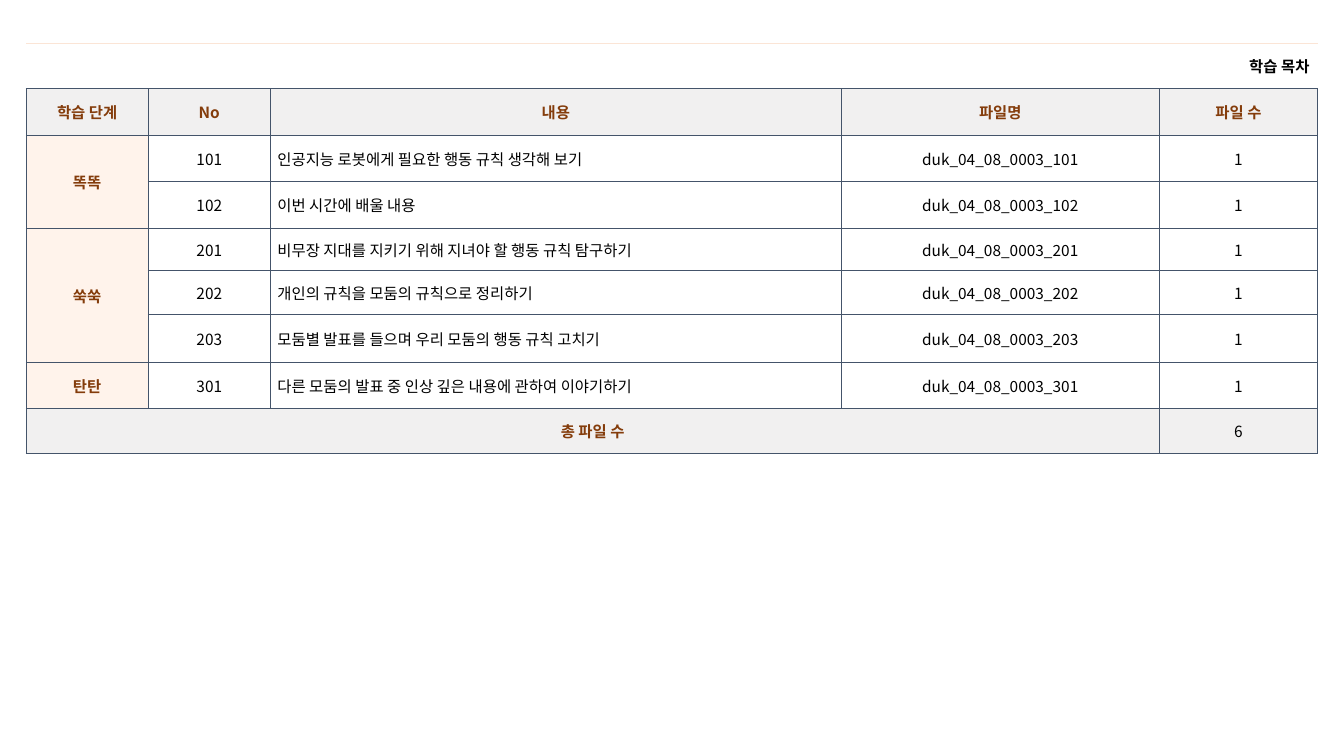
from lxml.etree import SubElement
from pptx import Presentation
from pptx.dml.color import RGBColor
from pptx.enum.text import MSO_ANCHOR, PP_ALIGN
from pptx.oxml.ns import qn
from pptx.util import Inches, Pt

FONT = "Noto Sans CJK KR"
BLACK = RGBColor(0x00, 0x00, 0x00)
WHITE = RGBColor(0xFF, 0xFF, 0xFF)
BROWN = RGBColor(0x84, 0x3C, 0x0B)
GRAY = RGBColor(0xF1, 0xF0, 0xF0)
CREAM = RGBColor(0xFF, 0xF3, 0xEB)
NAVY = RGBColor(0x44, 0x54, 0x6A)
PEACH = RGBColor(0xFB, 0xE5, 0xD6)

TABLE_BOX = (0.26, 0.43, 12.81, 4.07)
COLUMN_SHARES = (1.21, 1.21, 5.66, 3.15, 1.57)
ROW_SHARES = (0.45, 0.46, 0.46, 0.46, 0.42, 0.43, 0.48, 0.45, 0.45)

TITLE = "학습 목차"
HEADINGS = ("학습 단계", "No", "내용", "파일명", "파일 수")
STAGES = (
    ("똑똑", (
        (101, "인공지능 로봇에게 필요한 행동 규칙 생각해 보기"),
        (102, "이번 시간에 배울 내용"),
    )),
    ("쑥쑥", (
        (201, "비무장 지대를 지키기 위해 지녀야 할 행동 규칙 탐구하기"),
        (202, "개인의 규칙을 모둠의 규칙으로 정리하기"),
        (203, "모둠별 발표를 들으며 우리 모둠의 행동 규칙 고치기"),
    )),
    ("탄탄", (
        (301, "다른 모둠의 발표 중 인상 깊은 내용에 관하여 이야기하기"),
    )),
)
TOTAL_LABEL = "총 파일 수"


def set_border(cell, side, color, width=0.5):
    """Draw one side (L, R, T or B) of a cell; no color means no line."""
    properties = cell._tc.get_or_add_tcPr()
    line = SubElement(properties, qn(f"a:ln{side}"), w=str(Pt(width)))
    if color is None:
        SubElement(line, qn("a:noFill"))
    else:
        fill = SubElement(line, qn("a:solidFill"))
        SubElement(fill, qn("a:srgbClr"), val=str(color))


def write_cell(cell, text, align=PP_ALIGN.CENTER, color=BLACK, bold=False, margin=0.07):
    cell.text_frame.text = text
    cell.vertical_anchor = MSO_ANCHOR.MIDDLE
    cell.margin_left = cell.margin_right = Inches(margin)
    cell.margin_top = cell.margin_bottom = Inches(0.05)
    para = cell.text_frame.paragraphs[0]
    para.alignment = align
    for span in para.runs:
        span.font.name = FONT
        span.font.size = Pt(11)
        span.font.bold = bold
        span.font.color.rgb = color
        SubElement(span.font._element, qn("a:ea"), typeface=FONT)


def write_label(cell, text):
    write_cell(cell, text, color=BROWN, bold=True)


def style_grid(table):
    """Give every cell its borders and fill; the title row is open at the sides."""
    last_row = len(table.rows) - 1
    for row_index, row in enumerate(table.rows):
        for column_index, cell in enumerate(row.cells):
            is_title = row_index == 0
            for side in "LR":
                set_border(cell, side, None if is_title else NAVY)
            if is_title:
                set_border(cell, "T", PEACH, 0.25)
            else:
                set_border(cell, "T", NAVY)
            set_border(cell, "B", NAVY)
            if is_title:
                cell.fill.background()
                continue
            cell.fill.solid()
            if row_index in (1, last_row):
                cell.fill.fore_color.rgb = GRAY
            else:
                cell.fill.fore_color.rgb = CREAM if column_index == 0 else WHITE


def fill_stages(table, first_row):
    """Write the lessons stage by stage and return how many files they have."""
    row = first_row
    for stage, lessons in STAGES:
        stage_cell = table.cell(row, 0)
        if len(lessons) > 1:
            stage_cell.merge(table.cell(row + len(lessons) - 1, 0))
        write_label(stage_cell, stage)
        for number, content in lessons:
            write_cell(table.cell(row, 1), str(number))
            write_cell(table.cell(row, 2), content, PP_ALIGN.LEFT)
            write_cell(table.cell(row, 3), f"duk_04_08_0003_{number}")
            write_cell(table.cell(row, 4), "1")
            row += 1
    return row - first_row


def add_contents_table(page, box):
    left, top, width, height = (Inches(length) for length in box)
    frame = page.shapes.add_table(
        len(ROW_SHARES), len(COLUMN_SHARES), left, top, width, height
    )
    table = frame.table
    table.first_row = table.horz_banding = False
    for column, share in zip(table.columns, COLUMN_SHARES):
        column.width = int(width * share / sum(COLUMN_SHARES))
    for row, share in zip(table.rows, ROW_SHARES):
        row.height = int(height * share / sum(ROW_SHARES))
    style_grid(table)

    title_cell = table.cell(0, 0)
    title_cell.merge(table.cell(0, len(HEADINGS) - 1))
    write_cell(title_cell, TITLE, PP_ALIGN.RIGHT, bold=True, margin=0.08)
    for column_index, heading in enumerate(HEADINGS):
        write_label(table.cell(1, column_index), heading)
    file_count = fill_stages(table, 2)

    total_row = len(ROW_SHARES) - 1
    total_cell = table.cell(total_row, 0)
    total_cell.merge(table.cell(total_row, 3))
    write_label(total_cell, TOTAL_LABEL)
    write_cell(table.cell(total_row, 4), str(file_count))


def main():
    deck = Presentation()
    deck.slide_width, deck.slide_height = Inches(13.33), Inches(7.5)
    page = deck.slides.add_slide(deck.slide_layouts[6])
    add_contents_table(page, TABLE_BOX)
    deck.save("out.pptx")


if __name__ == "__main__":
    main()
